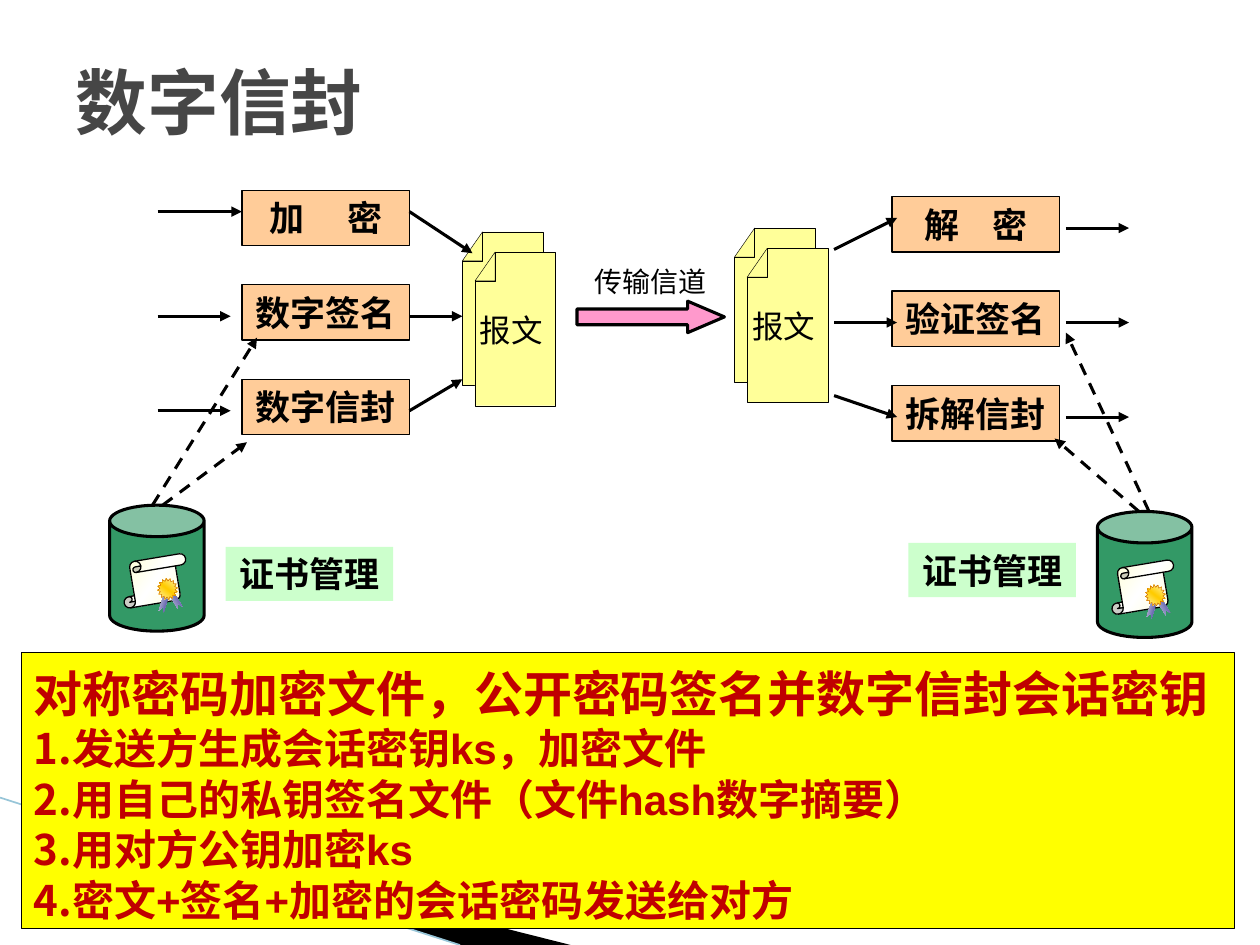
import pptx
import pptx.util
import pptx.dml.color
import pptx.enum.dml
import pptx.enum.shapes
import pptx.enum.text
import pptx.oxml
import pptx.oxml.ns

Inches, Pt = pptx.util.Inches, pptx.util.Pt
RGBColor = pptx.dml.color.RGBColor
SHAPE = pptx.enum.shapes.MSO_SHAPE
ALIGN = pptx.enum.text.PP_ALIGN
MIDDLE = pptx.enum.text.MSO_ANCHOR.MIDDLE

BLACK = RGBColor(0x00, 0x00, 0x00)
GREY = RGBColor(0x46, 0x46, 0x46)
RED = RGBColor(0xC0, 0x00, 0x00)
YELLOW = RGBColor(0xFF, 0xFF, 0x00)
ORANGE = RGBColor(0xFF, 0xCC, 0x99)
PAPER = RGBColor(0xFF, 0xFF, 0x99)
MINT = RGBColor(0xCC, 0xFF, 0xCC)
GREEN = RGBColor(0x33, 0x99, 0x66)
PINK = RGBColor(0xFF, 0x99, 0xCC)
PALE_BLUE = RGBColor(0x97, 0xC5, 0xD8)
SEAL_EDGE = RGBColor(0xCC, 0x66, 0x00)
SCROLL = [(0, "FFFFCC"), (50, "FFFFFF"), (100, "FFFFCC")]
SEAL = [(0, "FFFFCC"), (50, "FFCC00"), (100, "FFFFCC")]
RIBBON = [(0, "D6D6E3"), (100, "333399")]
CJK = "Noto Sans CJK SC"

TITLE = "数字信封"
STEP_COLUMNS = [
    (1.92, 1.51, [("加 密", 20), ("数字签名", 0), ("数字信封", 0)]),
    (7.08, 1.56, [("解 密", 14), ("验证签名", 0), ("拆解信封", 0)]),
]
STEP_PITCH = 0.75
DOCUMENTS = [(3.67, 1.84), (5.83, 1.81)]
STORES = [(0.87, 4.01), (8.71, 4.06)]
STORE_LABELS = [(1.79, 4.34), (7.21, 4.31)]
CERTIFICATE = [
    (SHAPE.VERTICAL_SCROLL, (0.09, 0.42, 0.54, 0.36), 350.5, 0.25, SCROLL, 45, BLACK, 0.75),
    (SHAPE.CHEVRON, (0.43, 0.72, 0.17, 0.04), 239.1, 1, RIBBON, 90, None, 0),
    (SHAPE.CHEVRON, (0.35, 0.74, 0.17, 0.04), 286.7, 1, RIBBON, 90, None, 0),
    (SHAPE.STAR_16_POINT, (0.38, 0.58, 0.16, 0.17), 352.9, 0.375, SEAL, 315, SEAL_EDGE, 0.25),
]
ARROWS = [
    (1.25, 1.68, 1.92, 1.68), (1.25, 2.51, 1.83, 2.51), (1.25, 3.26, 1.83, 3.26),
    (3.25, 1.68, 3.75, 2.01), (3.25, 2.51, 3.67, 2.51), (3.25, 3.26, 3.67, 3.01),
    (8.46, 1.81, 8.96, 1.81), (8.46, 2.56, 8.96, 2.56), (8.46, 3.31, 8.96, 3.31),
    (6.62, 1.98, 7.12, 1.73), (6.62, 2.56, 7.12, 2.56), (6.62, 3.14, 7.12, 3.31),
]
KEY_ARROWS = [
    (1.21, 4.01, 2.04, 2.68), (1.29, 4.01, 1.96, 3.51),
    (9.12, 4.06, 8.46, 2.64), (9.04, 4.06, 8.37, 3.48),
]
SUMMARY = [
    "对称密码加密文件，公开密码签名并数字信封会话密钥",
    "发送方生成会话密钥ks，加密文件",
    "用自己的私钥签名文件（文件hash数字摘要）",
    "用对方公钥加密ks",
    "密文+签名+加密的会话密码发送给对方",
]


def add_element(parent, tag, **attributes):
    element = pptx.oxml.parse_xml(f"<{tag} {pptx.oxml.ns.nsdecls('a')}/>")
    for name, value in attributes.items():
        element.set(name, str(value))
    parent.append(element)
    return element


def style_span(span, size, color, bold=False, font="Arial"):
    span.font.size, span.font.bold, span.font.name = Pt(size), bold, font
    span.font.color.rgb = color
    add_element(span.font._element, "a:ea", typeface=CJK)


def style_shape(shape, fill, edge=None, width=0.75):
    shape.shadow.inherit = False
    if fill is not None:
        shape.fill.solid()
        shape.fill.fore_color.rgb = fill
    if edge is None:
        shape.line.fill.background()
    else:
        shape.line.color.rgb = edge
        shape.line.width = Pt(width)


def add_box(shapes, kind, place, fill, edge=None, width=0.75):
    shape = shapes.add_shape(kind, *map(Inches, place))
    style_shape(shape, fill, edge, width)
    return shape


def set_label(box, text, size, bold=False, font="Arial", wrap=True, gap=0):
    frame = box.text_frame
    frame.word_wrap, frame.vertical_anchor = wrap, MIDDLE
    frame.margin_left = frame.margin_right = 0
    frame.margin_top = frame.margin_bottom = 0
    para = frame.paragraphs[0]
    para.alignment = ALIGN.CENTER
    for part in filter(None, text.partition(" ")):
        span = para.add_run()
        span.text = part
        style_span(span, size, BLACK, bold, font)
        if part == " ":
            span.font._element.set("spc", str(gap * 100))


def add_freeform(shapes, contours, fill, edge=None):
    outlines = [[(Inches(x), Inches(y)) for x, y in contour] for contour in contours]
    builder = shapes.build_freeform(*outlines[0][0], scale=1.0)
    builder.add_line_segments(outlines[0][1:])
    for outline in outlines[1:]:
        builder.move_to(*outline[0])
        builder.add_line_segments(outline[1:])
    style_shape(builder.convert_to_shape(), fill, edge, 0.25)


def add_line(shapes, ends, color=BLACK, width=1.75, arrow=True, dashed=False):
    line = shapes.add_connector(pptx.enum.shapes.MSO_CONNECTOR.STRAIGHT, *map(Inches, ends))
    line.line.color.rgb = color
    line.line.width = Pt(width)
    if dashed:
        line.line.dash_style = pptx.enum.dml.MSO_LINE.DASH
    if arrow:
        add_element(line.line._get_or_add_ln(), "a:tailEnd", type="triangle")
    add_element(line._element.spPr, "a:effectLst")


def add_document(shapes, left, top):
    group = shapes.add_group_shape().shapes
    for x, y in [(left, top), (left + 0.1, top + 0.16)]:
        fold = [(x + 0.16, y), (x + 0.16, y + 0.23), (x, y + 0.23)]
        body = fold + [(x, y + 1.22), (x + 0.64, y + 1.22), (x + 0.64, y)]
        add_freeform(group, [body + body[:1], fold + fold[:1]], PAPER, BLACK)
    label = group.add_textbox(*map(Inches, (left + 0.14, top + 0.63, 0.5, 0.3)))
    set_label(label, "报文", 18, font=CJK, wrap=False)


def add_certificate(shapes, left, top):
    group = shapes.add_group_shape().shapes
    for kind, (x, y, width, height), turn, adjust, stops, angle, edge, weight in CERTIFICATE:
        shape = add_box(group, kind, (left + x, top + y, width, height), None, edge, weight)
        shape.rotation = turn
        shape.adjustments[0] = adjust
        shape.fill.gradient()
        gradient = shape._element.spPr.find(pptx.oxml.ns.qn("a:gradFill"))
        for child in list(gradient):
            gradient.remove(child)
        stop_list = add_element(gradient, "a:gsLst")
        for position, color in stops:
            stop = add_element(stop_list, "a:gs", pos=position * 1000)
            add_element(stop, "a:srgbClr", val=color)
        add_element(gradient, "a:lin", ang=angle * 60000, scaled=0)


def add_summary(shapes):
    box = add_box(shapes, SHAPE.RECTANGLE, (0.17, 5.18, 9.63, 2.19), YELLOW, BLACK)
    frame = box.text_frame
    frame.text = "\n".join(SUMMARY)
    frame.word_wrap, frame.vertical_anchor = True, pptx.enum.text.MSO_ANCHOR.TOP
    frame.margin_top = Inches(0.09)
    for index, para in enumerate(frame.paragraphs):
        size = 24 if index else 28
        para.alignment = ALIGN.LEFT
        para.line_spacing = Pt(size * 1.2)
        properties = para._p.get_or_add_pPr()
        properties.set("marL", str(Inches(0.25)))
        properties.set("indent", str(-Inches(0.25)))
        if index:
            add_element(properties, "a:buFont", typeface=CJK)
            add_element(properties, "a:buAutoNum", type="arabicPeriod")
        style_span(para.runs[0], size, RED, True)


def main():
    deck = pptx.Presentation()
    deck.slide_width, deck.slide_height = Inches(10), Inches(7.5)
    page = deck.slides.add_slide(deck.slide_layouts[5])
    shapes = page.shapes

    title = shapes.title
    title.left, title.top, title.width, title.height = map(Inches, (0.5, 0.3, 9, 1))
    title.text_frame.text = TITLE
    title.text_frame.vertical_anchor = MIDDLE
    title.text_frame.paragraphs[0].alignment = ALIGN.LEFT
    style_span(title.text_frame.paragraphs[0].runs[0], 41, GREY, True, "DejaVu Sans Mono")

    add_freeform(shapes, [[(0.53, 6.49), (4.53, 7.5), (3.66, 7.5), (0.54, 6.5), (0.53, 6.49)]], BLACK)
    add_line(shapes, (0, 6.33, 3.65, 7.5), PALE_BLUE, 0.95, arrow=False)

    for left, top in STORES:
        store = add_box(shapes, SHAPE.CAN, (left, top, 0.75, 1), GREEN, BLACK, 1.75)
        store.adjustments[0] = 0.333
        add_certificate(shapes, left, top)
    for left, top in STORE_LABELS:
        label = add_box(shapes, SHAPE.RECTANGLE, (left, top, 1.33, 0.43), MINT)
        set_label(label, "证书管理", 20, True)
    for left, top, steps in STEP_COLUMNS:
        for row, (text, gap) in enumerate(steps):
            place = (left, top + row * STEP_PITCH, 1.33, 0.44)
            step = add_box(shapes, SHAPE.RECTANGLE, place, ORANGE, BLACK)
            set_label(step, text, 20, True, gap=gap)
    for left, top in DOCUMENTS:
        add_document(shapes, left, top)

    channel = add_box(shapes, SHAPE.RIGHT_ARROW, (4.58, 2.39, 1.17, 0.25), PINK, BLACK, 1.75)
    channel.adjustments[1] = 1.167
    caption = shapes.add_textbox(*map(Inches, (4.58, 2.05, 1.17, 0.37)))
    set_label(caption, "传输信道", 16, font=CJK)

    for ends in ARROWS:
        add_line(shapes, ends)
    for ends in KEY_ARROWS:
        add_line(shapes, ends, dashed=True)
    add_summary(shapes)
    deck.save("out.pptx")


if __name__ == "__main__":
    main()
